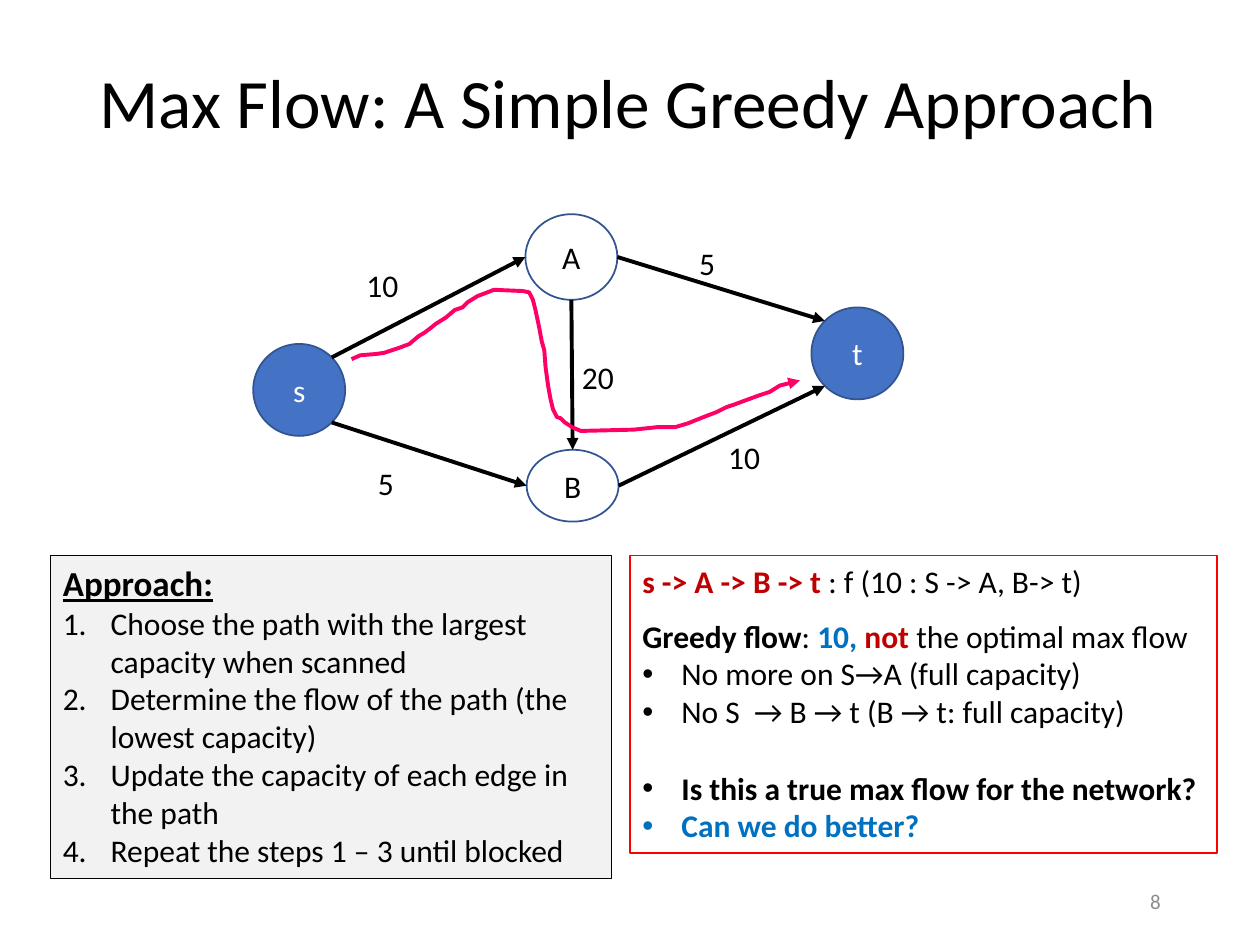
import math
from lxml import etree
from pptx import Presentation
from pptx.dml.color import RGBColor
from pptx.enum import shapes as sh, text as tx
from pptx.oxml.ns import qn
from pptx.util import Inches, Pt

BLACK, RED, BLUE = "000000", "C00000", "0070C0"
OVAL, DISC = sh.MSO_SHAPE.OVAL, sh.MSO_SHAPE.FLOWCHART_CONNECTOR
TOP, MID = tx.MSO_ANCHOR.TOP, tx.MSO_ANCHOR.MIDDLE
LEFT, MIDDLE, RIGHT = tx.PP_ALIGN.LEFT, tx.PP_ALIGN.CENTER, tx.PP_ALIGN.RIGHT

# name: box, preset, fill, text colour
NODES = {
    "s": ((2.01, 2.73, 0.73, 0.73), DISC, "4472C4", "FFFFFF"),
    "t": ((6.44, 2.44, 0.73, 0.73), DISC, "4472C4", "FFFFFF"),
    "A": ((4.17, 1.7, 0.73, 0.68), OVAL, None, BLACK),
    "B": ((4.18, 3.57, 0.73, 0.57), OVAL, None, BLACK),
}
# from, angle, to, angle (degrees clockwise from the right), capacity, label place
EDGES = [
    ("s", -45, "A", 180, "10", (2.81, 2.06)),
    ("B", 0, "t", 135, "10", (5.68, 3.43)),
    ("s", 45, "B", 180, "5", (2.9, 3.63)),
    ("A", 0, "t", -135, "5", (5.45, 1.89)),
    ("A", 90, "B", -90, "20", (4.52, 2.79)),
]
# Flow path in hundredths of an inch
FLOW = [
    (279, 285), (286, 282), (298, 281), (305, 280), (317, 276), (325, 273),
    (332, 267), (337, 264), (341, 261), (346, 257), (354, 252), (361, 246),
    (367, 244), (371, 240), (379, 235), (387, 232), (392, 230), (415, 231),
    (420, 232), (423, 238), (425, 246), (428, 260), (430, 271), (432, 278),
    (433, 291), (435, 306), (437, 317), (439, 325), (442, 331), (445, 332),
    (448, 335), (454, 339), (461, 342), (503, 341), (522, 339), (536, 339),
    (546, 336), (556, 332), (561, 330), (569, 327), (577, 323), (583, 321),
    (591, 318), (602, 314), (611, 311), (619, 306), (627, 304), (635, 302),
]
# Each paragraph: runs of (text, format), then the paragraph's own format
STEP = {"mark": "1.", "ind": 0.38}
DOT = {"mark": "•", "ind": 0.31}
APPROACH = [([("Approach:", {"size": 20, "bold": True, "line": True})], {})] + [
    ([(step, {})], STEP) for step in (
        "Choose the path with the largest capacity when scanned",
        "Determine the flow of the path (the lowest capacity)",
        "Update the capacity of each edge in the path",
        "Repeat the steps 1 – 3 until blocked",
    )]
RESULT = [
    ([("s -> A -> B -> t ", {"color": RED, "bold": True}),
      (": f (10 : S -> A, B-> t)", {})], {}),
    ([("Greedy flow", {"bold": True}), (": ", {}),
      ("10, ", {"color": BLUE, "bold": True}),
      ("not", {"color": RED, "bold": True}),
      (" the optimal max flow", {})], {"gap": 9.75}),
    ([("No more on S→A (full capacity)", {})], DOT),
    ([("No S  → B → t (B → t: full capacity)", {})], DOT),
    ([("Is this a true max flow for the network?", {"bold": True})],
     {**DOT, "gap": 22}),
    ([("Can we do better?", {"color": BLUE, "bold": True})], DOT),
]
PANELS = [
    ((0.4, 4.41, 4.45, 2.56), "F2F2F2", BLACK, 0.25, APPROACH),
    ((5, 4.41, 4.66, 2.36), None, "FF0000", 0.75, RESULT),
]

prs = Presentation()
prs.slide_width, prs.slide_height = Inches(10), Inches(7.5)
slide = prs.slides.add_slide(prs.slide_layouts[6])


def rgb(code):
    return RGBColor.from_string(code)


def write(frame, body, size=18, color=BLACK, align=LEFT, anchor=TOP, lead=None):
    """Fill a frame with a plain string or a list of paragraphs."""
    if isinstance(body, str):
        body = [([(body, {})], {})]
    frame.word_wrap, frame.vertical_anchor = True, anchor
    for i, (runs, form) in enumerate(body):
        para = frame.add_paragraph() if i else frame.paragraphs[0]
        para.alignment, para.line_spacing = align, lead
        if "gap" in form:
            para.space_before = Pt(form["gap"])
        if "mark" in form:
            bullet(para, form["mark"], form["ind"])
        for words, look in runs:
            run = para.add_run()
            run.text = words
            font = run.font
            font.name, font.size = "Calibri", Pt(look.get("size", size))
            font.bold = look.get("bold", False)
            font.underline = look.get("line", False)
            font.color.rgb = rgb(look.get("color", color))


def bullet(para, mark, ind):
    props = para._p.get_or_add_pPr()
    props.set("marL", str(Inches(ind)))
    props.set("indent", str(-Inches(ind)))
    if mark == "•":
        etree.SubElement(props, qn("a:buFont")).set("typeface", "Arial")
        etree.SubElement(props, qn("a:buChar")).set("char", mark)
    else:
        etree.SubElement(props, qn("a:buAutoNum")).set("type", "arabicPeriod")


def label(box, words, **form):
    area = slide.shapes.add_textbox(*map(Inches, box))
    write(area.text_frame, words, **form)


def paint(shape, fill, line, width):
    shape.shadow.inherit = False
    if fill:
        shape.fill.solid()
        shape.fill.fore_color.rgb = rgb(fill)
    else:
        shape.fill.background()
    shape.line.color.rgb, shape.line.width = rgb(line), Pt(width)


def block(kind, box, fill, line, width, words, **form):
    shape = slide.shapes.add_shape(kind, *map(Inches, box))
    paint(shape, fill, line, width)
    write(shape.text_frame, words, **form)


def arrow(line):
    etree.SubElement(line._get_or_add_ln(), qn("a:tailEnd")).set("type", "triangle")


def rim(name, angle):
    """Point on a node's outline at the given angle."""
    x, y, w, h = NODES[name][0]
    turn = math.radians(angle)
    return (Inches(x + w / 2 * (1 + math.cos(turn))),
            Inches(y + h / 2 * (1 + math.sin(turn))))


label((0.69, 0.3, 8.62, 1.08), "Max Flow: A Simple Greedy Approach",
      size=39.6, anchor=MID, lead=0.9)

for box, fill, line, width, body in PANELS:
    block(sh.MSO_SHAPE.RECTANGLE, box, fill, line, width, body)

for name, (box, kind, fill, color) in NODES.items():
    block(kind, box, fill, "325491", 1, name, color=color, align=MIDDLE, anchor=MID)

for start, out, end, into, cap, spot in EDGES:
    edge = slide.shapes.add_connector(
        sh.MSO_CONNECTOR.STRAIGHT, *rim(start, out), *rim(end, into))
    edge.line.color.rgb, edge.line.width = rgb(BLACK), Pt(2.25)
    arrow(edge.line)
    etree.SubElement(edge._element.spPr, qn("a:effectLst"))
    label((*spot, 0.55, 0.4), cap)

pen = slide.shapes.build_freeform(*FLOW[0], scale=Inches(0.01))
pen.add_line_segments(FLOW[1:], close=False)
route = pen.convert_to_shape()
paint(route, None, "FF0066", 2.25)
arrow(route.line)

label((7.06, 6.95, 2.25, 0.4), "8", size=12, color="8C8C8C", align=RIGHT, anchor=MID)

prs.save("out.pptx")
